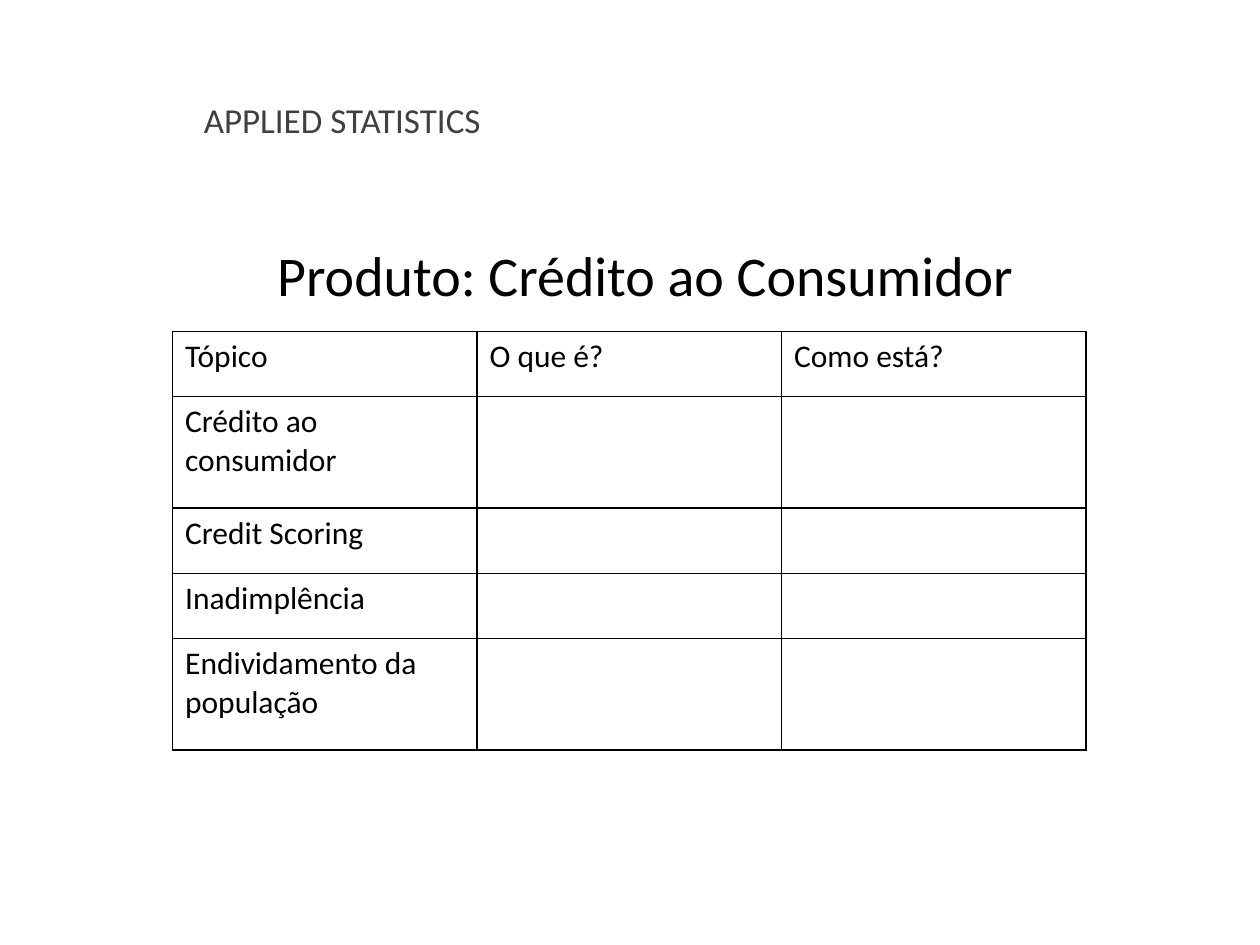
from dataclasses import dataclass

from lxml import etree
from pptx import Presentation
from pptx.dml.color import RGBColor
from pptx.enum.text import MSO_ANCHOR, PP_ALIGN
from pptx.oxml.ns import qn
from pptx.util import Pt

TOP = MSO_ANCHOR.TOP
LEFT = PP_ALIGN.LEFT
FONT = "Calibri"
COLORS = {"ink": "000000", "label": "404040"}
TITLE_ONLY = 5
BORDER_SIDES = ("a:lnL", "a:lnR", "a:lnT", "a:lnB")


@dataclass
class Row:
    height: float
    texts: tuple[str, ...]


HEADERS = ("Tópico", "O que é?", "Como está?")
SHORT_ROW, TALL_ROW = 37.2, 63.8
ROWS = [
    Row(SHORT_ROW, HEADERS),
    Row(TALL_ROW, ("Crédito ao consumidor",)),
    Row(SHORT_ROW, ("Credit Scoring",)),
    Row(SHORT_ROW, ("Inadimplência",)),
    Row(TALL_ROW, ("Endividamento da população",)),
]
COLUMN_WIDTH = 174


def write(frame, text: str, size: float, color: str):
    frame.text = text
    para = frame.paragraphs[0]
    para.alignment = LEFT
    for span in para.runs:
        span.font.name = FONT
        span.font.size = Pt(size)
        span.font.color.rgb = RGBColor.from_string(COLORS[color])
    return para


def add_borders(cell, color: str, width: float) -> None:
    properties = cell._tc.get_or_add_tcPr()
    for index, side in enumerate(BORDER_SIDES):
        line = etree.Element(qn(side), w=str(Pt(width)))
        fill = etree.SubElement(line, qn("a:solidFill"))
        etree.SubElement(fill, qn("a:srgbClr"), val=COLORS[color])
        properties.insert(index, line)


def add_title(page) -> None:
    title = page.shapes.title
    title.left, title.top = Pt(151.2), Pt(138.2)
    title.width, title.height = Pt(648), Pt(67.7)
    para = write(title.text_frame, "Produto: Crédito ao Consumidor", 32, "ink")
    para.line_spacing = 0.9
    title.text_frame.vertical_anchor = TOP


def add_topic_table(page) -> None:
    height = sum(row.height for row in ROWS)
    table = page.shapes.add_table(
        len(ROWS), len(HEADERS), Pt(98.6), Pt(189.4),
        Pt(COLUMN_WIDTH * len(HEADERS)), Pt(height),
    ).table
    table.first_row = False
    table.horz_banding = False
    for column in table.columns:
        column.width = Pt(COLUMN_WIDTH)
    for index, row in enumerate(ROWS):
        table.rows[index].height = Pt(row.height)
        for cell in table.rows[index].cells:
            cell.fill.background()
            add_borders(cell, "ink", 1)
        for cell, text in zip(table.rows[index].cells, row.texts):
            write(cell.text_frame, text, 18, "ink")


def add_course_label(page) -> None:
    box = page.shapes.add_textbox(Pt(109.4), Pt(52.6), Pt(223.2), Pt(31.7))
    box.text_frame.word_wrap = True
    para = write(box.text_frame, "APPLIED STATISTICS", 20, "label")
    para.space_after = Pt(2)


def main() -> None:
    deck = Presentation()
    deck.slide_width, deck.slide_height = Pt(720), Pt(540)
    page = deck.slides.add_slide(deck.slide_layouts[TITLE_ONLY])
    add_title(page)
    add_topic_table(page)
    add_course_label(page)
    deck.save("out.pptx")


if __name__ == "__main__":
    main()
